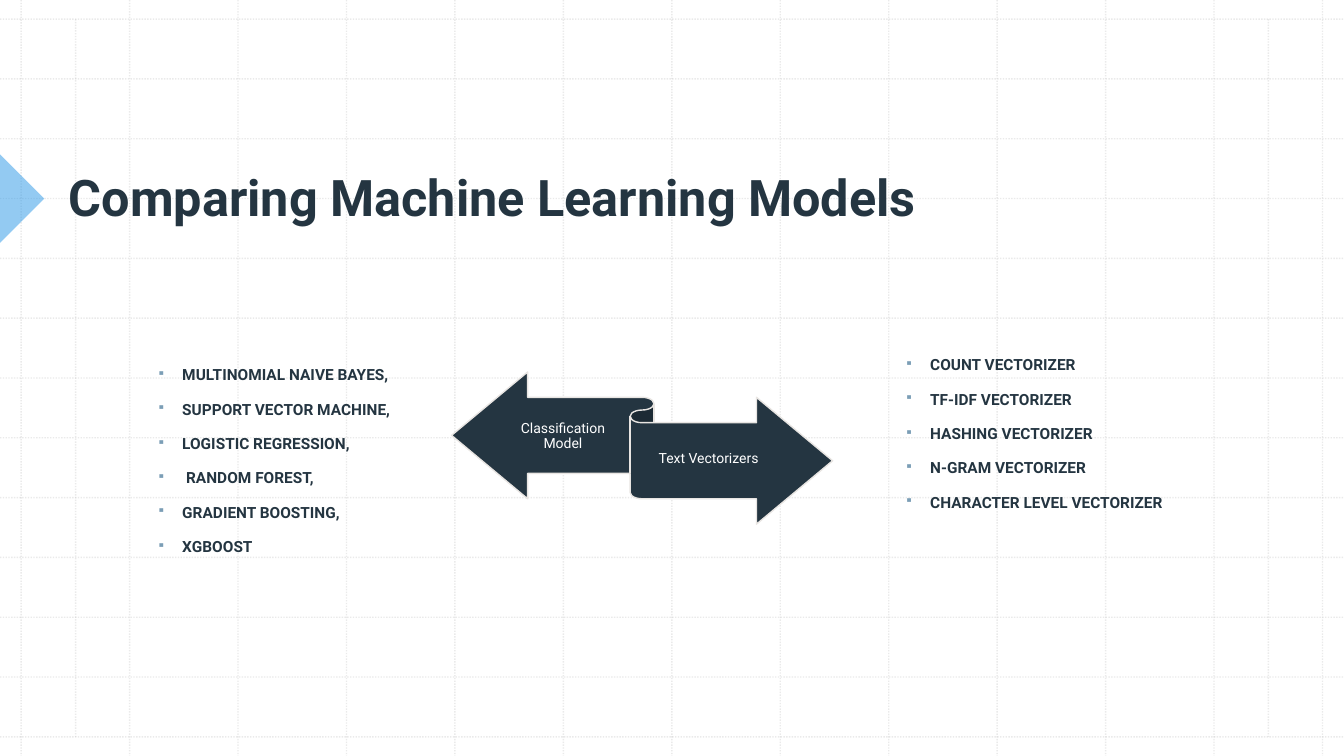
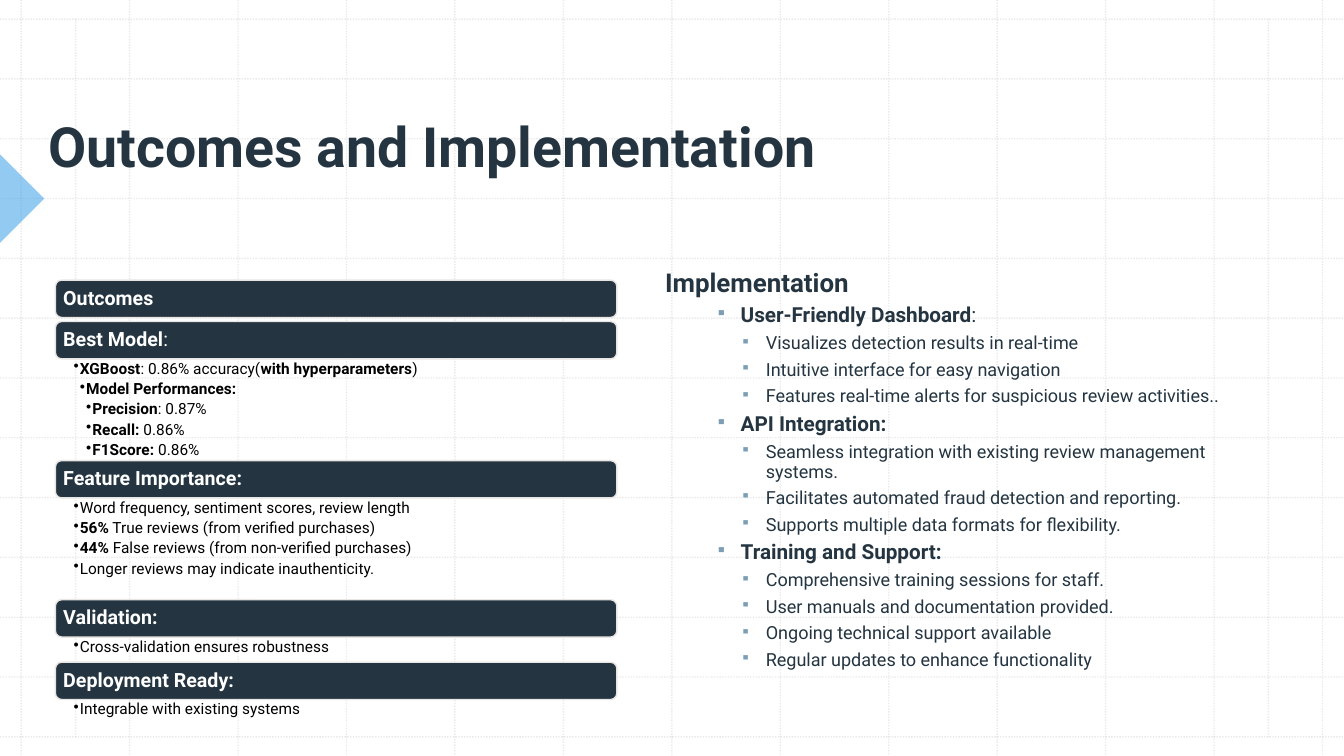
from lxml.etree import SubElement
from pptx import Presentation
from pptx.dml.color import RGBColor
from pptx.enum.dml import MSO_LINE
from pptx.enum.shapes import MSO_CONNECTOR, MSO_SHAPE as SHAPE
from pptx.enum.text import MSO_ANCHOR as ANCHOR, PP_ALIGN as ALIGN
from pptx.oxml.ns import qn
from pptx.util import Inches, Pt

NAVY = RGBColor(0x24, 0x35, 0x41)
SKY = RGBColor(0x29, 0x97, 0xE7)
STEEL = RGBColor(0x7B, 0x9E, 0xB6)
SAND = RGBColor(0xE8, 0xE5, 0xE2)
GREY = RGBColor(0xBC, 0xBC, 0xBC)
WHITE = RGBColor(0xFF, 0xFF, 0xFF)
BLACK = RGBColor(0x00, 0x00, 0x00)
FONT = "Roboto"

# The slide is a grid of 160 columns by 90 rows
COLS, ROWS = 160, 90
prs = Presentation()
prs.slide_width, prs.slide_height = Inches(40 / 3), Inches(7.5)
COL, ROW = prs.slide_width / COLS, prs.slide_height / ROWS

# Text styles: font, paragraph and bullet (character, indent per level, hanging)
TITLE = {"font": {"size": Pt(36), "color": NAVY}, "para": {}}
LABEL = {"font": {"size": Pt(10), "color": WHITE},
         "para": {"alignment": ALIGN.CENTER, "line_spacing": 0.9, "space_after": Pt(4.1)}}
MODEL = {"font": {"size": Pt(11), "color": NAVY},
         "para": {"line_spacing": 1.1, "space_before": Pt(10)},
         "bullet": ("▪", 0.25, 0.25)}
BAR = {"font": {"size": Pt(14), "color": WHITE},
       "para": {"alignment": ALIGN.LEFT, "line_spacing": 0.9, "space_after": Pt(5.7)}}
DETAILS = [{"font": {"size": Pt(11), "color": BLACK},
            "para": {"level": level, "line_spacing": 0.9, "space_after": Pt(2.6)},
            "bullet": ("•", 0.0625 * level, 0.0625)} for level in (1, 2, 3)]
HEADING = {"font": {"size": Pt(18.5), "color": NAVY},
           "para": {"line_spacing": 0.9, "space_before": Pt(10)}}
TOPIC, FEATURE = [{"font": {"size": Pt(size), "color": NAVY},
                   "para": {"level": level, "line_spacing": 0.9, "space_before": Pt(5)},
                   "bullet": ("▪", indent, 0.25)}
                  for size, level, indent in ((14.8, 2, 0.75), (12.9, 3, 1))]


def place(left, top, width, height):
    """Turn columns and rows into slide lengths."""
    return [round(v) for v in (left * COL, top * ROW, width * COL, height * ROW)]


def write(shape, lines, anchor=ANCHOR.TOP, margins=(0.1, 0.05, 0.1, 0.05)):
    """Fill a shape with (text, style) lines; *stars* enclose bold words."""
    frame = shape.text_frame
    frame.word_wrap, frame.vertical_anchor = True, anchor
    for side, margin in zip(("left", "top", "right", "bottom"), margins):
        setattr(frame, f"margin_{side}", Inches(margin))
    for index, (text, style) in enumerate(lines):
        para = frame.add_paragraph() if index else frame.paragraphs[0]
        for name, value in style["para"].items():
            setattr(para, name, value)
        for part, words in enumerate(text.split("*")):
            if words:
                run = para.add_run()
                run.text = words
                run.font.name, run.font.bold = FONT, part % 2 == 1
                run.font.size = style["font"]["size"]
                run.font.color.rgb = style["font"]["color"]
        if "bullet" in style:
            char, indent, hanging = style["bullet"]
            props = para._p.get_or_add_pPr()
            props.set("marL", str(Inches(indent)))
            props.set("indent", str(-Inches(hanging)))
            if char == "▪":
                colour = SubElement(props, qn("a:buClr"))
                SubElement(colour, qn("a:srgbClr"), val=str(STEEL))
                SubElement(props, qn("a:buSzPct"), val="75000")
            SubElement(props, qn("a:buChar"), char=char)


# Shared background: dotted grid and sky-blue pointer
LEFT, RIGHT, TOP, BOTTOM = 2.52, 157.44, 2.28, 87.72
STEPS = 12
uprights = [LEFT + i * (RIGHT - LEFT) / STEPS for i in range(STEPS + 1)]
levels = [TOP + i * (BOTTOM - TOP) / STEPS for i in range(STEPS + 1)]
grid = [(x, 0, x, ROWS) for x in uprights]
grid += [(0, y, COLS, y) for y in levels]
grid += [(x, TOP, x, BOTTOM) for x in (9, 151)]

slides = []
for title, title_size, title_place in (
        ("*Comparing Machine Learning Models*", 36, (7, 5.4, 105, 22.2)),
        ("*Outcomes and Implementation*", 39.6, (4.56, 8.76, 135.5, 13.08))):
    slide = prs.slides.add_slide(prs.slide_layouts[6])
    slides.append(slide)
    for ends in grid:
        rule = slide.shapes.add_connector(MSO_CONNECTOR.STRAIGHT, *place(*ends))
        rule.line.color.rgb = GREY
        rule.line.width, rule.line.dash_style = Pt(1), MSO_LINE.ROUND_DOT
        colour = rule._element.spPr.find(".//" + qn("a:srgbClr"))
        SubElement(colour, qn("a:alpha"), val="30000")
        SubElement(rule._element.spPr, qn("a:effectLst"))
    pointer = slide.shapes.add_shape(SHAPE.RIGHT_TRIANGLE, *place(-3.72, 19.92, 7.44, 7.44))
    pointer.rotation, pointer.shadow.inherit = 225, False
    pointer.fill.solid()
    pointer.fill.fore_color.rgb = SKY
    pointer.line.fill.background()
    colour = pointer._element.spPr.find(".//" + qn("a:srgbClr"))
    SubElement(colour, qn("a:alpha"), val="50000")
    style = {**TITLE, "font": {**TITLE["font"], "size": Pt(title_size)}}
    write(slide.shapes.add_textbox(*place(*title_place)), [(title, style)], ANCHOR.BOTTOM)

comparison, results = [slide.shapes for slide in slides]

# Slide 1: two-way ribbon between models and vectorizers
ribbon = comparison.add_shape(SHAPE.LEFT_RIGHT_RIBBON, *place(53.76, 44.28, 45.36, 18.12))
navy_shapes = [ribbon]
for label, spot in (("Classification Model", (59.52, 49.44, 15, 5.04)),
                    ("Text Vectorizers", (75.6, 51, 17.52, 7.32))):
    write(comparison.add_textbox(*place(*spot)), [(label, LABEL)],
          ANCHOR.MIDDLE, (0, 0.04, 0, 0.04))

models = ["MULTINOMIAL NAIVE BAYES,", "SUPPORT VECTOR MACHINE,", "LOGISTIC REGRESSION,",
          " RANDOM FOREST,", "GRADIENT BOOSTING,", "XGBOOST"]
vectorizers = ["COUNT VECTORIZER", "TF-IDF VECTORIZER", "HASHING VECTORIZER",
               "N-GRAM VECTORIZER", "CHARACTER LEVEL VECTORIZER"]
for names, spot in ((models, (17.52, 42.72, 36, 28.44)),
                    (vectorizers, (106.56, 41.52, 36, 27.12))):
    write(comparison.add_textbox(*place(*spot)), [(f"*{name}*", MODEL) for name in names])

# Slide 2, left: outcome bars, each followed by its details
BAR_LEFT, BAR_WIDTH, BAR_HEIGHT = 6.6, 66.84, 4.44
outcomes = [
    ("*Outcomes*", 0.48, []),
    ("*Best Model*:", 12.12, [
        (1, "*XGBoost*: 0.86% accuracy(*with hyperparameters*)"),
        (2, "*Model Performances:*"),
        (3, "*Precision*: 0.87%"),
        (3, "*Recall: *0.86%"),
        (3, "*F1Score: *0.86%")]),
    ("*Feature Importance:*", 12.12, [
        (1, "Word frequency, sentiment scores, review length"),
        (1, "*56%* True reviews (from verified purchases)"),
        (1, "*44%* False reviews (from non-verified purchases)"),
        (1, "Longer reviews may indicate inauthenticity.")]),
    ("*Validation:*", 3, [(1, "Cross-validation ensures robustness")]),
    ("*Deployment Ready:*", 3, [(1, "Integrable with existing systems")]),
]
top = 33.36
for heading, room, details in outcomes:
    bar = results.add_shape(SHAPE.ROUNDED_RECTANGLE,
                            *place(BAR_LEFT, top, BAR_WIDTH, BAR_HEIGHT))
    navy_shapes.append(bar)
    write(bar, [(heading, BAR)], ANCHOR.MIDDLE, (0.06, 0.06, 0.06, 0.06))
    top += BAR_HEIGHT
    if details:
        write(results.add_textbox(*place(BAR_LEFT, top, BAR_WIDTH, room)),
              [(text, DETAILS[level - 1]) for level, text in details],
              margins=(0.18, 0.02, 0.11, 0.02))
    top += room

for shape in navy_shapes:
    shape.shadow.inherit = False
    shape.fill.solid()
    shape.fill.fore_color.rgb = NAVY
    shape.line.color.rgb = SAND
    shape.line.width = Pt(1)

# Slide 2, right: implementation outline
topics = {
    "*User-Friendly Dashboard*:": [
        "Visualizes detection results in real-time",
        "Intuitive interface for easy navigation",
        "Features real-time alerts for suspicious review activities.."],
    "*API Integration:*": [
        "Seamless integration with existing review management systems.",
        "Facilitates automated fraud detection and reporting.",
        "Supports multiple data formats for flexibility."],
    "*Training and Support:*": [
        "Comprehensive training sessions for staff.",
        "User manuals and documentation provided.",
        "Ongoing technical support available",
        "Regular updates to enhance functionality"],
}
outline = [("*Implementation*", HEADING)]
for topic, features in topics.items():
    outline.append((topic, TOPIC))
    outline += [(feature, FEATURE) for feature in features]
write(results.add_textbox(*place(78, 31.56, 70.92, 53.04)), outline)

prs.save("out.pptx")
